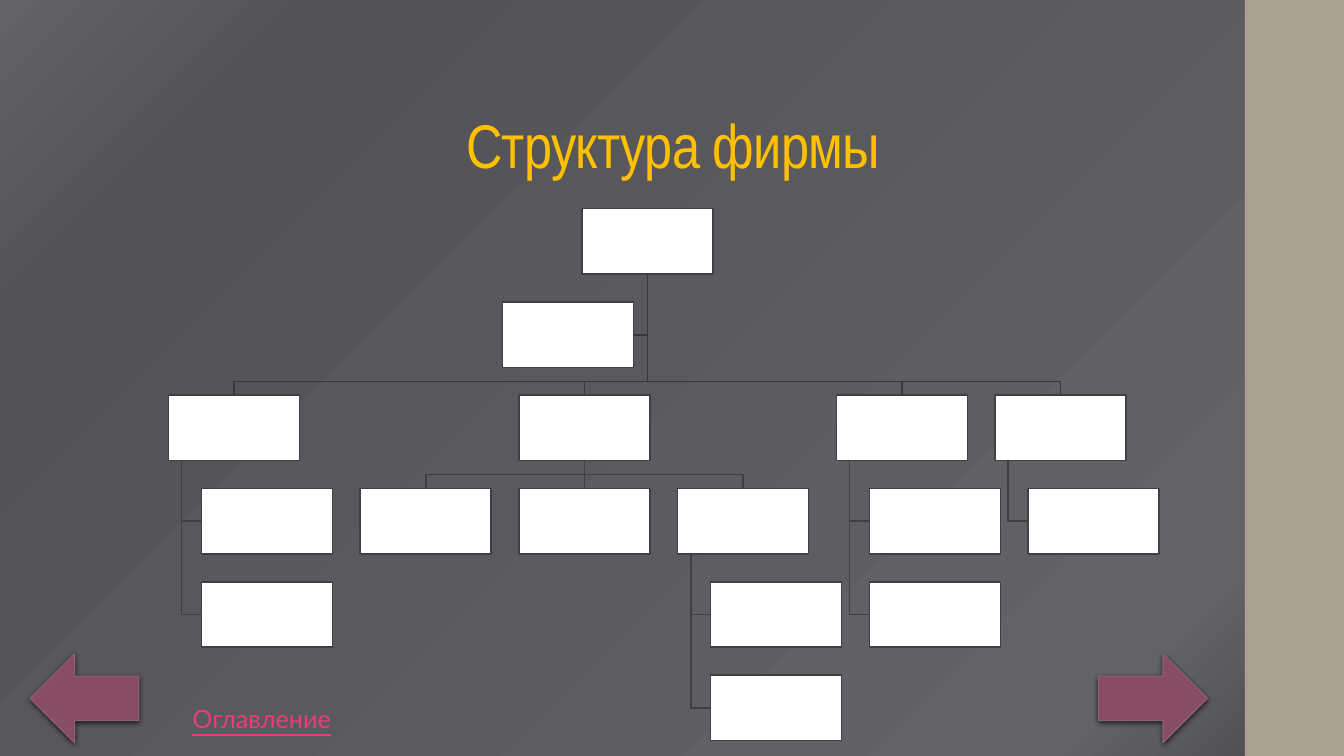
from dataclasses import dataclass
from pptx import Presentation
from pptx.dml.color import RGBColor
from pptx.enum.shapes import MSO_CONNECTOR, MSO_SHAPE
from pptx.enum.text import MSO_ANCHOR, MSO_AUTO_SIZE, PP_ALIGN
from pptx.oxml import parse_xml
from pptx.oxml.ns import nsdecls, qn
from pptx.util import Cm, Pt


@dataclass(frozen=True)
class Theme:
    stops: tuple = ((0, "636367"), (16, "535357"), (86, "636367"), (97, "4E4E51"))
    band: str = "A7A192"
    title: str = "FFC000"
    link: str = "E83E73"
    box: str = "FFFFFF"
    edge: str = "404043"
    trunk: str = "38383B"
    arrow: str = "884C64"
    rim: str = "8D6374"
    head_font: str = "Arial Narrow"
    body_font: str = "Lato"
    head_size: int = 44
    body_size: int = 18
    wire: float = 1.1
    thin: float = 0.75


THEME = Theme()
WIDE, HIGH = 33.87, 19.05
BOX_W, BOX_H = 3.3, 1.65
COL, ROW, INDENT, STEM = 4, 2.35, 0.83, 0.33
GAP = ROW - BOX_H


def stroke(line, color, width):
    line.color.rgb = RGBColor.from_string(color)
    line.width = Pt(width)


def add_block(shapes, kind, box, fill, edge=None, width=THEME.wire):
    shape = shapes.add_shape(kind, *map(Cm, box))
    shape.shadow.inherit = False
    shape.fill.solid()
    shape.fill.fore_color.rgb = RGBColor.from_string(fill)
    if edge:
        stroke(shape.line, edge, width)
    else:
        shape.line.fill.background()
    return shape


def add_text(slide, box, text, font, size, color):
    shape = slide.shapes.add_textbox(*map(Cm, box))
    para = shape.text_frame.paragraphs[0]
    para.text = text
    para.font.name = font
    para.font.size = Pt(size)
    para.font.color.rgb = RGBColor.from_string(color)
    return shape.text_frame, para


def draw_back(slide, box):
    slide.background.fill.solid()
    back = slide.element.find(".//" + qn("p:bgPr"))
    stops = "".join(
        f'<a:gs pos="{spot * 1000}"><a:srgbClr val="{color}"/></a:gs>'
        for spot, color in THEME.stops
    )
    blend = parse_xml(
        f'<a:gradFill {nsdecls("a")} rotWithShape="1"><a:gsLst>{stops}</a:gsLst>'
        '<a:lin ang="2700000" scaled="0"/></a:gradFill>'
    )
    back.replace(back.find(qn("a:solidFill")), blend)
    add_block(slide.shapes, MSO_SHAPE.RECTANGLE, box, THEME.band)


def draw_title(slide, box):
    frame, para = add_text(
        slide, box, "Структура фирмы", THEME.head_font, THEME.head_size, THEME.title
    )
    frame.word_wrap = True
    frame.vertical_anchor = MSO_ANCHOR.BOTTOM
    para.alignment = PP_ALIGN.CENTER
    para.line_spacing = 0.9
    para.runs[0].font._element.set("spc", "-50")


def draw_wire(group, points, color):
    spots = [(Cm(x), Cm(y)) for x, y in points]
    maker = group.shapes.build_freeform(*spots[0])
    maker.add_line_segments(spots[1:], close=False)
    wire = maker.convert_to_shape()
    wire.shadow.inherit = False
    wire.fill.background()
    stroke(wire.line, color, THEME.wire)


def draw_chart(slide, left, top):
    group = slide.shapes.add_group_shape()

    def node(x, row):
        x, y = left + x, top + row * ROW
        shape = add_block(
            group.shapes, MSO_SHAPE.RECTANGLE, (x, y, BOX_W, BOX_H), THEME.box, THEME.edge
        )
        return x, y, shape

    def fan(boss, child, color):
        start, end = boss[0] + BOX_W / 2, child[0] + BOX_W / 2
        bus = child[1] - GAP / 2
        points = [(start, boss[1] + BOX_H), (start, bus), (end, bus), (end, child[1])]
        draw_wire(group, points, color)

    def hook(boss, child):
        x, y = boss[0] + STEM, child[1] + BOX_H / 2
        draw_wire(group, [(x, boss[1] + BOX_H), (x, y), (child[0], y)], THEME.edge)

    def drop(boss, child):
        wire = group.shapes.add_connector(MSO_CONNECTOR.STRAIGHT, 0, 0, 0, 0)
        wire.begin_connect(boss[2], 2)
        wire.end_connect(child[2], 0)
        stroke(wire.line, THEME.edge, THEME.wire)
        wire._element.spPr.append(parse_xml(f'<a:effectLst {nsdecls("a")}/>'))

    def stack(boss, x, row, count):
        for step in range(count):
            hook(boss, node(x + INDENT, row + step))

    slots = [INDENT + COL * step for step in range(6)]
    heads = [0, slots[2], slots[4], slots[5]]
    root = node(heads[-1] / 2, 0)
    mid, aide_y = root[0] + BOX_W / 2, top + ROW + BOX_H / 2
    aide = node(mid - left - GAP / 2 - BOX_W, 1)
    draw_wire(
        group,
        [(mid, root[1] + BOX_H), (mid, aide_y), (aide[0] + BOX_W, aide_y)],
        THEME.trunk,
    )
    for x, count in zip(heads, (2, 0, 2, 1)):
        head = node(x, 2)
        fan(root, head, THEME.trunk)
        stack(head, x, 3, count)
        if not count:
            first, second, third = [node(slot, 3) for slot in slots[1:4]]
            fan(head, first, THEME.edge)
            drop(head, second)
            fan(head, third, THEME.edge)
            stack(third, slots[3], 4, 2)


def draw_arrow(slide, box, angle):
    arrow = add_block(
        slide.shapes, MSO_SHAPE.RIGHT_ARROW, box, THEME.arrow, THEME.rim, THEME.thin
    )
    arrow.rotation = angle
    effects = arrow._element.spPr.find(qn("a:effectLst"))
    effects.append(parse_xml(
        f'<a:outerShdw {nsdecls("a")} blurRad="{Pt(4)}" dist="{Pt(1.2)}" dir="5400000" '
        'rotWithShape="0"><a:srgbClr val="000000"><a:alpha val="75000"/>'
        '</a:srgbClr></a:outerShdw>'
    ))


def draw_foot(slide, top):
    for left, angle in ((0.76, 180), (27.69, 0)):
        draw_arrow(slide, (left, top, 2.74, 2.24), angle)
    frame, para = add_text(
        slide, (4.6, top + 1.12, 4.04, 1.02), "Оглавление",
        THEME.body_font, THEME.body_size, THEME.link,
    )
    frame.word_wrap = False
    frame.auto_size = MSO_AUTO_SIZE.SHAPE_TO_FIT_TEXT
    para.font.underline = True


def main():
    deck = Presentation()
    deck.slide_width, deck.slide_height = Cm(WIDE), Cm(HIGH)
    slide = deck.slides.add_slide(deck.slide_layouts[6])
    draw_back(slide, (31.37, 0, WIDE - 31.37, HIGH))
    draw_title(slide, (3.51, 1.02, 26.92, 3.68))
    draw_chart(slide, 4.25, 5.26)
    draw_foot(slide, 16.48)
    deck.save("out.pptx")


if __name__ == "__main__":
    main()
